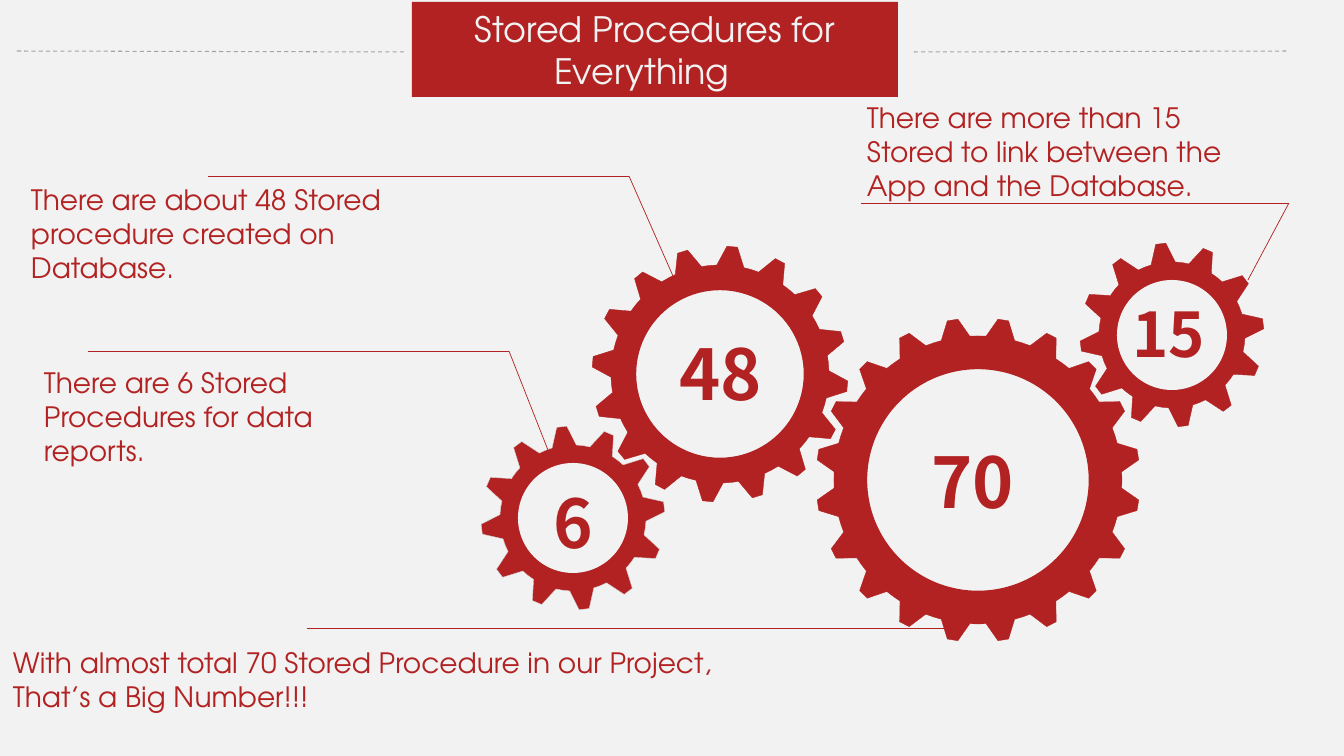
from math import cos, pi, sin

from lxml.etree import SubElement
from pptx import Presentation
from pptx.dml.color import RGBColor
from pptx.enum.dml import MSO_LINE
from pptx.enum.shapes import MSO_CONNECTOR, MSO_SHAPE
from pptx.enum.text import MSO_ANCHOR, MSO_AUTO_SIZE, PP_ALIGN
from pptx.oxml.ns import qn
from pptx.util import Pt

PX = 914400 / 100.8
RED, PAPER, GREY, SILVER = "B22222", "F2F2F2", "A5A5A5", "D7D7D7"
BODY_FONT, NUMBER_FONT = "TeX Gyre Adventor", "Noto Sans CJK SC"


def px(value):
    return round(value * PX)


def color(code):
    return RGBColor.from_string(code)


def paint(shape, fill, line=None, weight=0.25):
    shape.shadow.inherit = False
    shape.fill.solid()
    shape.fill.fore_color.rgb = color(fill)
    if line:
        shape.line.color.rgb = color(line)
        shape.line.width = Pt(weight)
    else:
        shape.line.fill.background()


def write(frame, text, size, font, code, align=PP_ALIGN.LEFT, bold=False):
    frame.word_wrap = True
    frame.auto_size = MSO_AUTO_SIZE.SHAPE_TO_FIT_TEXT
    frame.text = text
    for paragraph in frame.paragraphs:
        paragraph.alignment = align
        for run in paragraph.runs:
            run.font.size = Pt(size)
            run.font.name = font
            run.font.bold = bold
            run.font.color.rgb = color(code)


def add_text(shapes, left, top, width, height, text, size=20,
             font=BODY_FONT, **style):
    box = shapes.add_textbox(px(left), px(top), px(width), px(height))
    write(box.text_frame, text, size, font, RED, **style)


def add_path(shapes, points, weight=0.5, code=RED, dashed=False):
    """Draw straight connectors through the points."""
    for start, end in zip(points, points[1:]):
        line = shapes.add_connector(MSO_CONNECTOR.STRAIGHT,
                                    *map(px, start + end))
        line.line.color.rgb = color(code)
        line.line.width = Pt(weight)
        if dashed:
            line.line.dash_style = MSO_LINE.DASH
        SubElement(line._element.spPr, qn("a:effectLst"))


def gear_outline(x, y, tip, root, teeth, phase):
    """Each tooth has a narrow tip, a wide base and a valley after it."""
    profile = [(-0.32, root), (-0.105, tip), (0.105, tip),
               (0.32, root), (0.5, root)]
    points = []
    for tooth in range(teeth):
        for offset, radius in profile:
            angle = phase * pi / 180 + (tooth + offset) * 2 * pi / teeth
            points.append((px(x + radius * sin(angle)),
                           px(y - radius * cos(angle))))
    return points


def add_gear(slide, x, y, tip, root, hole, teeth, phase,
             edge=RED, ring=None):
    gear = slide.shapes.add_group_shape().shapes
    points = gear_outline(x, y, tip, root, teeth, phase)
    builder = gear.build_freeform(*points[0])
    builder.add_line_segments(points[1:], close=True)
    paint(builder.convert_to_shape(), RED, edge)
    center = gear.add_shape(MSO_SHAPE.OVAL, px(x - hole), px(y - hole),
                            px(2 * hole), px(2 * hole))
    paint(center, PAPER, ring, 1.75)


def add_callout(slide, points, text, left, top, height):
    callout = slide.shapes.add_group_shape().shapes
    add_path(callout, points)
    add_text(callout, left, top, 385, height, text)


def add_title(slide, text):
    banner = slide.shapes.add_shape(MSO_SHAPE.RECTANGLE, px(412), px(2),
                                    px(486), px(95))
    paint(banner, RED)
    banner.text_frame.vertical_anchor = MSO_ANCHOR.MIDDLE
    write(banner.text_frame, text, 25, BODY_FONT, PAPER, PP_ALIGN.CENTER)


def main():
    deck = Presentation()
    deck.slide_width, deck.slide_height = px(1344), px(756)
    slide = deck.slides.add_slide(deck.slide_layouts[6])
    slide.background.fill.solid()
    slide.background.fill.fore_color.rgb = color(PAPER)

    # Dashed rules beside the title
    for rule in ([(914, 52), (1289, 51)], [(17, 51), (406, 52)]):
        add_path(slide.shapes, rule, 0.75, GREY, dashed=True)

    # Gears
    add_gear(slide, 978, 480, 162, 144, 112, 20, 9, ring=RED)
    add_gear(slide, 1172, 335, 92, 73, 55, 12, -7)
    add_gear(slide, 720, 374, 128, 109, 85, 16, 5.5, ring=RED)
    add_gear(slide, 573, 518, 92, 73, 55, 12, -7, edge=SILVER)

    # Counts inside the gears
    for count, left, top, size in (("70", 866, 434, 50), ("6", 467, 476, 48),
                                   ("48", 614, 326, 50), ("15", 1062, 291, 44)):
        add_text(slide.shapes, left, top, 213, 95, count, size, NUMBER_FONT,
                 align=PP_ALIGN.CENTER, bold=True)

    # Callouts
    add_callout(slide, [(208, 176), (629, 176), (673, 276)],
                "There are about 48 Stored procedure created on Database.",
                21, 178, 112)
    add_callout(slide, [(88, 351), (509, 351), (548, 450)],
                "There are 6 Stored Procedures for data reports.",
                34, 361, 112)
    add_callout(slide, [(861, 203), (1289, 203), (1248, 280)],
                "There are more than 15 Stored to link between the App "
                "and the Database.", 857, 96, 112)

    # Total
    add_path(slide.shapes, [(307, 629), (953, 629)], 0.75)
    add_text(slide.shapes, 3, 641, 725, 78,
             "With almost total 70 Stored Procedure in our Project,\n"
             "That’s a Big Number!!!")

    add_title(slide, "Stored Procedures for Everything\t")
    deck.save("out.pptx")


if __name__ == "__main__":
    main()
